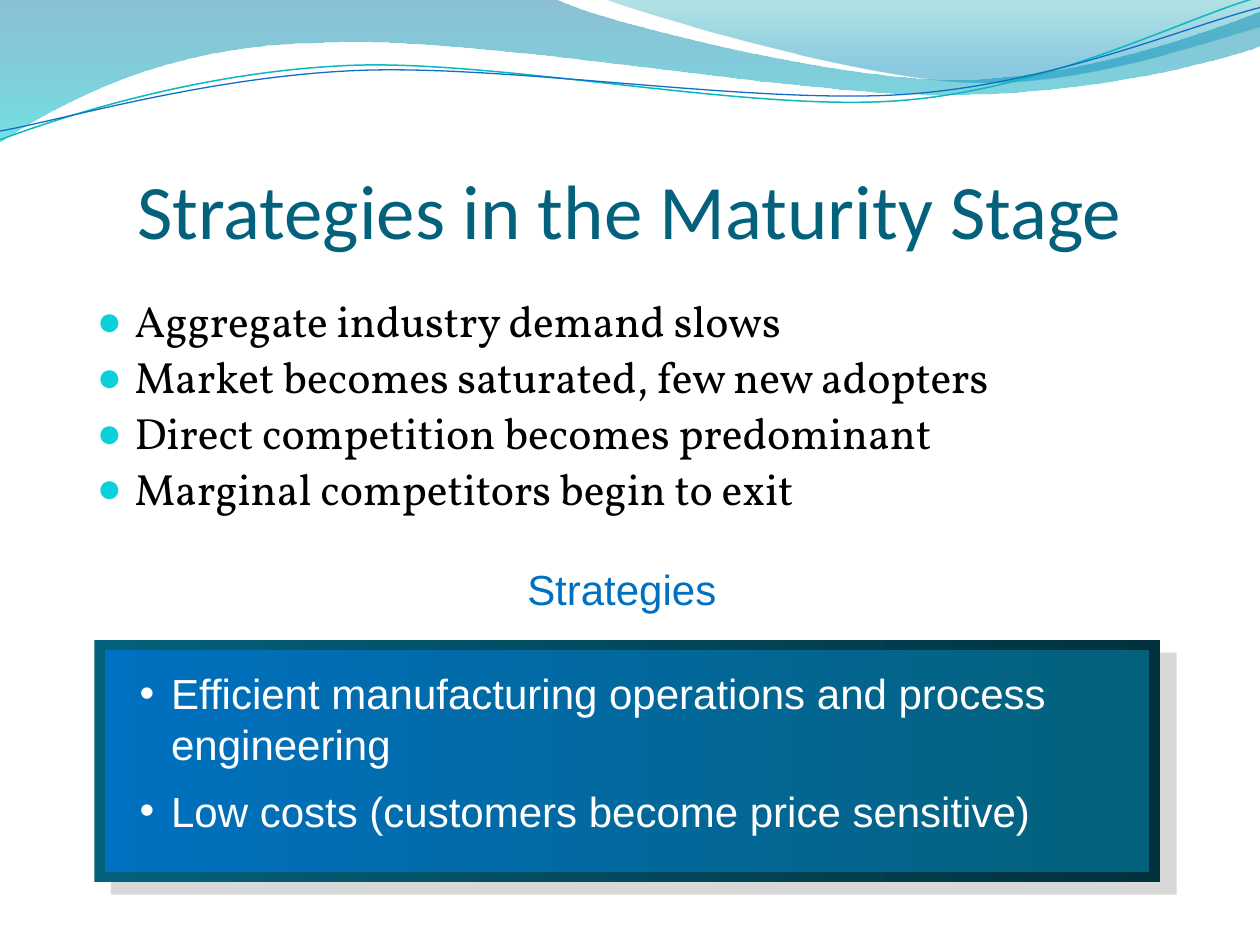
import dataclasses
import typing

import lxml.etree
import pptx
import pptx.dml.color
import pptx.enum.dml
import pptx.enum.shapes
import pptx.enum.text
import pptx.oxml.ns
import pptx.util

Inches = pptx.util.Inches
Pt = pptx.util.Pt
qn = pptx.oxml.ns.qn
ALIGN = pptx.enum.text.PP_ALIGN
ANCHOR = pptx.enum.text.MSO_ANCHOR

COLORS = {
    "title": "04617B", "body": "000000", "bullet": "0BD0D9", "white": "FFFFFF",
    "blue": "0070C0", "frame_dark": "02313E", "shadow": "B2B2B2",
    "wave_top": "0074A1", "wave_bottom": "00C6CF",
    "crest_top": "00A1A9", "crest_bottom": "008BBF",
    "teal_line": "0AB8BF", "blue_line": "0F6FC6",
}


class Stop(typing.NamedTuple):
    color: str
    position: float = 0
    opacity: int = 100


@dataclasses.dataclass
class Wave:
    """Segments are (x, y) for a straight line, six numbers for a Bezier curve."""
    start: tuple
    segments: list
    stops: tuple = ()
    line: str = ""
    line_width: float = 0


@dataclasses.dataclass
class Panel:
    box: tuple
    stops: tuple


@dataclasses.dataclass
class TextBlock:
    box: tuple
    lines: list
    font: str
    size: float
    color: str
    align: typing.Any = ALIGN.LEFT
    anchor: typing.Any = ANCHOR.TOP
    insets: tuple = (0.1, 0.05, 0.1, 0.05)
    space_before: float = 0
    line_spacing: float = 1
    bullet: str = ""
    bullet_color: str = ""
    bullet_percent: int = 100
    indent: tuple = (0, 0)


WAVES = [
    Wave((0, -0.01), [
        (4.4, -0.01), (4.76, 0.17, 6.64, 0.63, 7.58, 0.63),
        (8.53, 0.63, 9.58, 0.26, 10, 0.09), (10.01, 0.36),
        (9.83, 0.44, 8.7, 0.76, 7.46, 0.75), (6.22, 0.75, 3.82, 0.28, 2.57, 0.34),
        (1.29, 0.35, 0.46, 0.83, -0.01, 1.13)],
        stops=(Stop("wave_top", 0, 45), Stop("wave_bottom", 1, 55))),
    Wave((4.79, -0.01), [
        (5.09, 0.11, 6.82, 0.62, 7.69, 0.65), (8.56, 0.69, 9.61, 0.32, 10, 0.21),
        (10, 0)],
        stops=(Stop("crest_top", 0, 30), Stop("crest_bottom", 0.8, 45))),
    Wave((0, 1.11), [
        (0.48, 0.93, 1.58, 0.57, 2.77, 0.52), (3.95, 0.47, 5.93, 0.89, 7.13, 0.8),
        (8.33, 0.71, 9.38, 0.15, 9.98, -0.02)], line="teal_line", line_width=0.85),
    Wave((0, 1.04), [
        (0.47, 0.96, 1.64, 0.61, 2.83, 0.56), (4.03, 0.51, 5.97, 0.83, 7.17, 0.75),
        (8.36, 0.67, 9.41, 0.21, 10, 0.06)], line="blue_line", line_width=0.75),
]

PANELS = [
    Panel((0.88, 5.18, 8.46, 1.92), (Stop("shadow", 0, 50),)),
    Panel((0.75, 5.08, 8.46, 1.92), (Stop("title"), Stop("frame_dark", 1))),
    Panel((0.83, 5.16, 8.29, 1.76), (Stop("blue"), Stop("title", 1))),
]

TEXTS = [
    TextBlock((0.5, 0.77, 9, 1.25), ["Strategies in the Maturity Stage"],
              "Calibri", 44, "title", ALIGN.CENTER, ANCHOR.BOTTOM, (0, 0.05, 0, 0)),
    TextBlock((0.67, 2.33, 8.83, 2.25),
              ["Aggregate industry demand slows",
               "Market becomes saturated, few new adopters",
               "Direct competition becomes predominant",
               "Marginal competitors begin to exit"],
              "Vollkorn", 25, "body", space_before=5, line_spacing=0.9,
              bullet="●", bullet_color="bullet", bullet_percent=95, indent=(0.3, -0.3)),
    TextBlock((0.88, 5.25, 8.19, 1.46),
              ["Efficient manufacturing operations and process engineering",
               "Low costs (customers become price sensitive)"],
              "Arial", 24, "white", space_before=9.6,
              bullet="•", bullet_color="white", indent=(0.38, -0.25)),
    TextBlock((0.83, 4.42, 8.21, 0.5), ["Strategies"], "Arial", 24, "blue",
              ALIGN.CENTER, space_before=12),
]


def rgb(name: str) -> pptx.dml.color.RGBColor:
    return pptx.dml.color.RGBColor.from_string(COLORS[name])


def apply_fill(shape, stops: tuple, angle: float = 0) -> None:
    """Fill with one colour or a two-stop gradient, opacity included."""
    if len(stops) == 1:
        shape.fill.solid()
        shape.fill.fore_color.rgb = rgb(stops[0].color)
    else:
        shape.fill.gradient()
        shape.fill.gradient_angle = angle
        for gradient_stop, stop in zip(shape.fill.gradient_stops, stops):
            gradient_stop.color.rgb = rgb(stop.color)
            gradient_stop.position = stop.position
    for element, stop in zip(shape._element.spPr.iter(qn("a:srgbClr")), stops):
        if stop.opacity < 100:
            alpha = lxml.etree.SubElement(element, qn("a:alpha"))
            alpha.set("val", str(stop.opacity * 1000))


def bend_segments(shape, segments: list) -> None:
    """Turn the straight segments that have control points into Bezier curves."""
    straight_lines = list(shape._element.spPr.iter(qn("a:lnTo")))
    for straight_line, segment in zip(straight_lines, segments):
        if len(segment) == 2:
            continue
        straight_line.tag = qn("a:cubicBezTo")
        straight_line.remove(straight_line[0])
        for x, y in zip(segment[::2], segment[1::2]):
            point = lxml.etree.SubElement(straight_line, qn("a:pt"))
            point.set("x", str(Inches(x) - shape.left))
            point.set("y", str(Inches(y) - shape.top))


def draw_wave(slide, wave: Wave) -> None:
    builder = slide.shapes.build_freeform(*map(Inches, wave.start))
    ends = [tuple(map(Inches, segment[-2:])) for segment in wave.segments]
    builder.add_line_segments(ends, close=bool(wave.stops))
    shape = builder.convert_to_shape()
    bend_segments(shape, wave.segments)
    shape.shadow.inherit = False
    if wave.stops:
        apply_fill(shape, wave.stops, angle=270)
        shape.line.fill.background()
    else:
        shape.fill.background()
        shape.line.color.rgb = rgb(wave.line)
        shape.line.width = Pt(wave.line_width)


def draw_panel(slide, panel: Panel) -> None:
    shape = slide.shapes.add_shape(pptx.enum.shapes.MSO_SHAPE.RECTANGLE,
                                   *map(Inches, panel.box))
    shape.shadow.inherit = False
    apply_fill(shape, panel.stops)
    shape.line.fill.background()


def add_bullet(paragraph, block: TextBlock) -> None:
    properties = paragraph._p.get_or_add_pPr()
    properties.set("marL", str(Inches(block.indent[0])))
    properties.set("indent", str(Inches(block.indent[1])))
    color = lxml.etree.SubElement(properties, qn("a:buClr"))
    lxml.etree.SubElement(color, qn("a:srgbClr")).set("val", COLORS[block.bullet_color])
    size = lxml.etree.SubElement(properties, qn("a:buSzPct"))
    size.set("val", str(block.bullet_percent * 1000))
    lxml.etree.SubElement(properties, qn("a:buFont")).set("typeface", "Arial")
    lxml.etree.SubElement(properties, qn("a:buChar")).set("char", block.bullet)


def draw_text(slide, block: TextBlock) -> None:
    frame = slide.shapes.add_textbox(*map(Inches, block.box)).text_frame
    frame.word_wrap = True
    frame.vertical_anchor = block.anchor
    (frame.margin_left, frame.margin_top,
     frame.margin_right, frame.margin_bottom) = map(Inches, block.insets)
    frame.text = "\n".join(block.lines)
    for paragraph in frame.paragraphs:
        paragraph.alignment = block.align
        paragraph.line_spacing = block.line_spacing
        paragraph.space_before = Pt(block.space_before)
        if block.bullet:
            add_bullet(paragraph, block)
        for run in paragraph.runs:
            run.font.name = block.font
            run.font.size = Pt(block.size)
            run.font.color.rgb = rgb(block.color)


def main() -> None:
    presentation = pptx.Presentation()
    presentation.slide_width = Inches(10)
    presentation.slide_height = Inches(7.5)
    slide = presentation.slides.add_slide(presentation.slide_layouts[6])
    for wave in WAVES:
        draw_wave(slide, wave)
    for panel in PANELS:
        draw_panel(slide, panel)
    for block in TEXTS:
        draw_text(slide, block)
    presentation.save("out.pptx")


if __name__ == "__main__":
    main()
